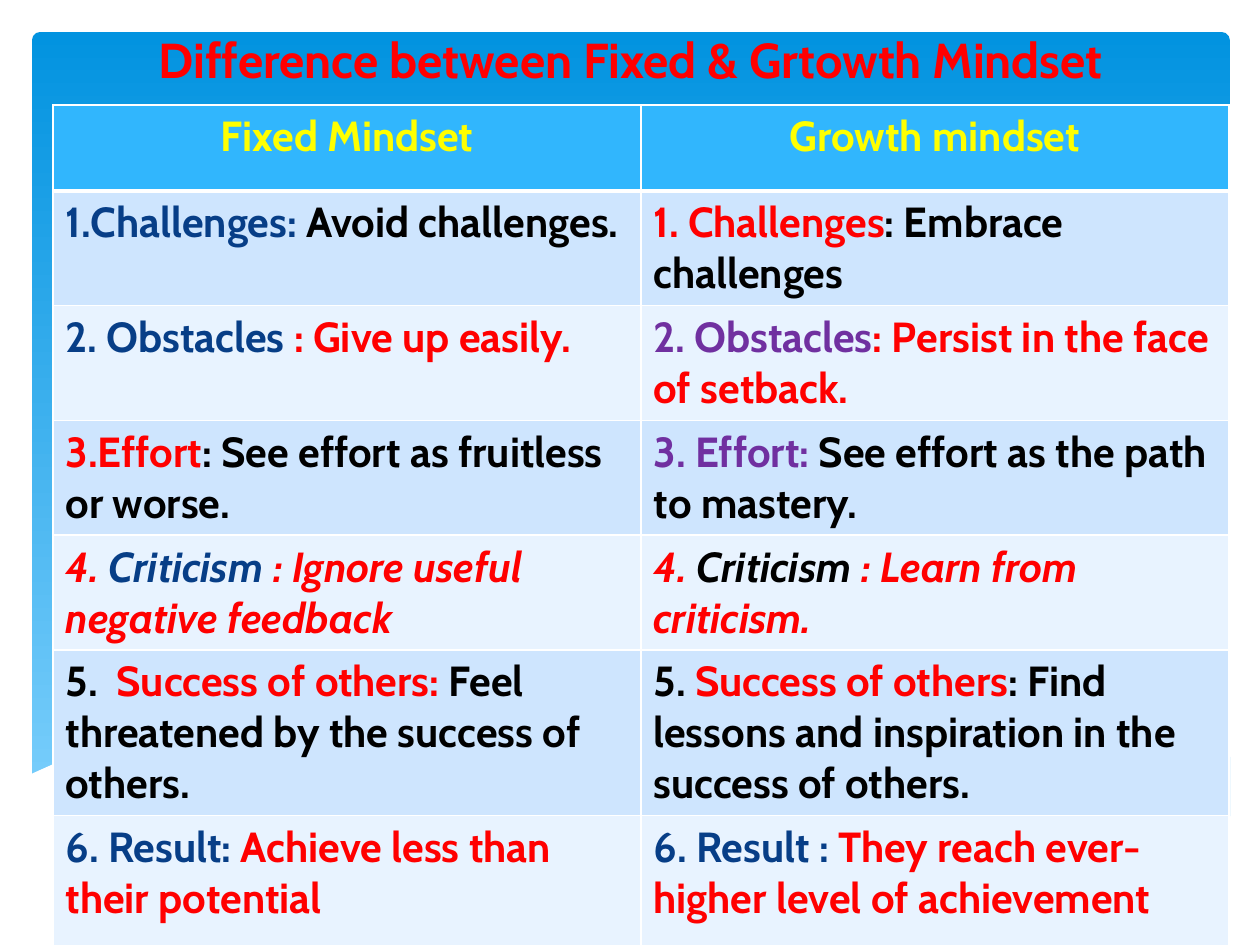
import lxml.etree
import pptx
import pptx.dml.color
import pptx.enum.shapes
import pptx.enum.text
import pptx.oxml.ns
import pptx.util

RGB = pptx.dml.color.RGBColor
WHITE = RGB(0xFF, 0xFF, 0xFF)
BLACK = RGB(0x00, 0x00, 0x00)
RED = RGB(0xFF, 0x00, 0x00)
YELLOW = RGB(0xFF, 0xFF, 0x00)
NAVY = RGB(0x07, 0x3E, 0x87)
PURPLE = RGB(0x70, 0x30, 0xA0)
SKY_TOP = RGB(0x02, 0x93, 0xE0)
SKY_BOTTOM = RGB(0x83, 0xD3, 0xFE)
WAVE = RGB(0xC6, 0xE7, 0xFC)
HEADER = RGB(0x31, 0xB6, 0xFD)
BANDS = (RGB(0xCE, 0xE5, 0xFE), RGB(0xE8, 0xF3, 0xFF))

FONT = "Cabin"
SCALE = 914400 / 126  # EMU in one px
CENTER = pptx.enum.text.PP_ALIGN.CENTER
LEFT = pptx.enum.text.PP_ALIGN.LEFT

# Wave outlines, relative to the top left of the wave region
RIGHT_SWELL = [
    (1202, 19), (1133, 32), (1057, 50), (954, 73), (862, 92), (805, 102), (861, 110),
    (926, 116), (998, 119), (1060, 115), (1114, 107), (1160, 95), (1202, 80)]
MIDDLE_SWELL = [
    (333, 9), (403, 19), (481, 34), (538, 48), (639, 71), (730, 90), (810, 104),
    (882, 114), (946, 118), (1003, 119), (1053, 118), (1097, 113), (1027, 102),
    (949, 89), (862, 71), (765, 48), (689, 31), (620, 18), (557, 9), (500, 4),
    (427, 2), (367, 5)]
FALLING_CREST = [
    (362, 14), (404, 8), (460, 4), (539, 4), (615, 10), (704, 21), (810, 37),
    (888, 53), (974, 72), (1115, 110)]
RISING_CREST = [(745, 92), (848, 65), (950, 41), (1063, 18), (1137, 8), (1201, 2)]
WHITE_SHORE = [
    (1202, 78), (1143, 99), (1074, 113), (990, 118), (886, 111), (787, 99), (670, 77),
    (534, 46), (431, 23), (339, 8), (261, 2), (194, 0), (121, 4), (67, 14), (29, 24),
    (0, 37), (0, 183), (1202, 183)]

COLUMN_HEADS = ("Fixed Mindset", "Growth mindset")
COMPARISONS = [
    ([("1.Challenges:", NAVY), (" Avoid challenges.", BLACK)],
     [("1. Challenges", RED), (": Embrace challenges", BLACK)]),
    ([("2. Obstacles ", NAVY), (": Give up easily.", RED)],
     [("2. Obstacles", PURPLE), (": Persist in the face of setback.", RED)]),
    ([("3.Effort", RED), (": See effort as fruitless or worse.", BLACK)],
     [("3. Effort: ", PURPLE), ("See effort as the path to mastery.", BLACK)]),
    ([("4. ", RED), ("Criticism", NAVY), (" : Ignore useful negative feedback", RED)],
     [("4.", RED), (" Criticism ", BLACK), (": Learn from criticism.", RED)]),
    ([("5.  ", BLACK), ("Success of others: ", RED),
      ("Feel threatened by the success of others.", BLACK)],
     [("5. ", BLACK), ("Success of others", RED),
      (": Find lessons and inspiration in the success of others.", BLACK)]),
    ([("6. Result: ", NAVY), ("Achieve less than their potential", RED)],
     [("6. Result : ", NAVY), ("They reach ever-higher level of achievement", RED)]),
]
ITALIC_ROW = 4
ROW_HEIGHTS = (86, 111, 111, 111, 111, 161, 149)


def px(length):
    return pptx.util.Emu(round(length * SCALE))


def add_element(parent, tag, **attributes):
    return lxml.etree.SubElement(parent, pptx.oxml.ns.qn(tag), attributes)


def write_text(para, spans, size, align, italic=False):
    para.alignment = align
    para.font.name = FONT
    para.font.size = pptx.util.Pt(size)
    para.font.bold = True
    para.font.italic = italic
    for text, color in spans:
        span = para.add_run()
        span.text = text
        span.font.color.rgb = color


def add_sky(page, left, top, width, height):
    sky = page.shapes.add_shape(
        pptx.enum.shapes.MSO_SHAPE.ROUNDED_RECTANGLE,
        px(left), px(top), px(width), px(height))
    sky.adjustments[0] = 0.01
    sky.shadow.inherit = False
    sky.line.fill.background()
    sky.fill.gradient()
    sky.fill.gradient_angle = 270
    for stop, color, position in zip(sky.fill.gradient_stops, (SKY_TOP, SKY_BOTTOM), (0, 1)):
        stop.color.rgb = color
        stop.position = position


def add_outline(page, left, top, points, closed):
    start, *others = [(left + x, top + y) for x, y in points]
    builder = page.shapes.build_freeform(*start, scale=SCALE)
    builder.add_line_segments(others, close=closed)
    outline = builder.convert_to_shape()
    outline.shadow.inherit = False
    return outline


def add_waves(page, left, top):
    def add_swell(points, color, opacity=100):
        swell = add_outline(page, left, top, points, True)
        swell.line.fill.background()
        swell.fill.solid()
        swell.fill.fore_color.rgb = color
        if opacity < 100:
            color_node = swell.fill._xPr.find(".//" + pptx.oxml.ns.qn("a:srgbClr"))
            add_element(color_node, "a:alpha", val=str(opacity * 1000))

    add_swell(RIGHT_SWELL, WAVE, 29)
    add_swell(MIDDLE_SWELL, WAVE, 40)
    for points in (FALLING_CREST, RISING_CREST):
        crest = add_outline(page, left, top, points, False)
        crest.fill.background()
        crest.line.color.rgb = WHITE
        crest.line.width = 0
    add_swell(WHITE_SHORE, WHITE)


def place_title(page, left, top, width, height):
    title = page.shapes.title
    title.left, title.top, title.width, title.height = map(px, (left, top, width, height))
    frame = title.text_frame
    frame.word_wrap = True
    frame.auto_size = pptx.enum.text.MSO_AUTO_SIZE.NONE
    frame.vertical_anchor = pptx.enum.text.MSO_ANCHOR.BOTTOM
    write_text(frame.paragraphs[0],
               [("Difference between Fixed & Grtowth Mindset", RED)], 28, CENTER)
    page.shapes._spTree.append(title._element)  # in front of the sky


def style_cell(cell, fill, top_width, bottom_width):
    properties = cell._tc.get_or_add_tcPr()
    for side, width in (("L", 1), ("R", 1), ("T", top_width), ("B", bottom_width)):
        border = add_element(properties, "a:ln" + side, w=str(pptx.util.Pt(width)))
        add_element(add_element(border, "a:solidFill"), "a:srgbClr", val=str(WHITE))
    cell.fill.solid()
    cell.fill.fore_color.rgb = fill


def add_comparison(page, left, top, width):
    rows = [[[(head, YELLOW)] for head in COLUMN_HEADS], *COMPARISONS]
    table = page.shapes.add_table(
        len(rows), 2, px(left), px(top), px(width), px(sum(ROW_HEIGHTS))).table
    for column in table.columns:
        column.width = px(width / 2)
    for index, (row, height) in enumerate(zip(rows, ROW_HEIGHTS)):
        table.rows[index].height = px(height)
        is_head = index == 0
        for column, spans in enumerate(row):
            cell = table.cell(index, column)
            style_cell(cell, HEADER if is_head else BANDS[(index - 1) % 2],
                       3 if index == 1 else 1, 3 if is_head else 1)
            write_text(cell.text_frame.paragraphs[0], spans, 24,
                       CENTER if is_head else LEFT, index == ITALIC_ROW)


def main():
    deck = pptx.Presentation()
    deck.slide_width, deck.slide_height = px(1260), px(945)
    page = deck.slides.add_slide(deck.slide_layouts[5])
    add_sky(page, 32, 32, 1198, 832)
    add_waves(page, 29, 738)
    place_title(page, 95, 32, 1071, 63)
    add_comparison(page, 53, 105, 1176)
    deck.save("out.pptx")


if __name__ == "__main__":
    main()
